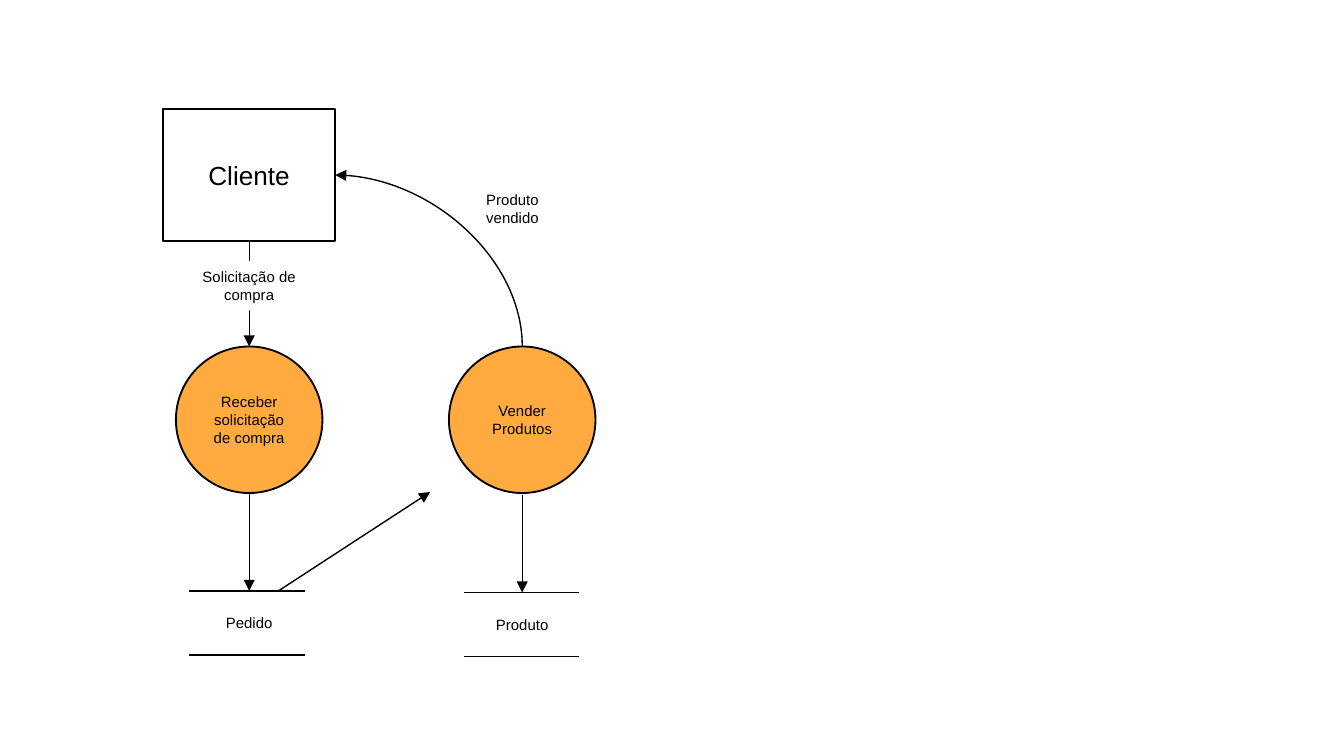
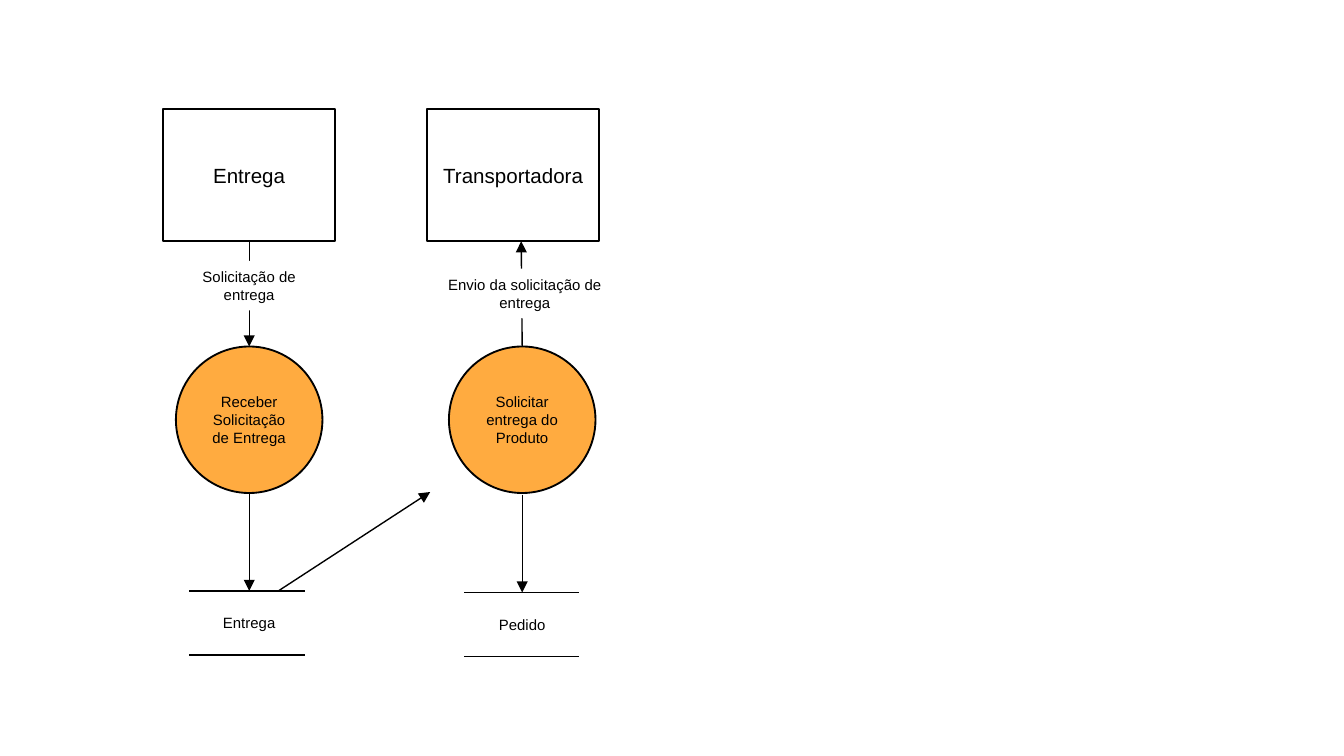
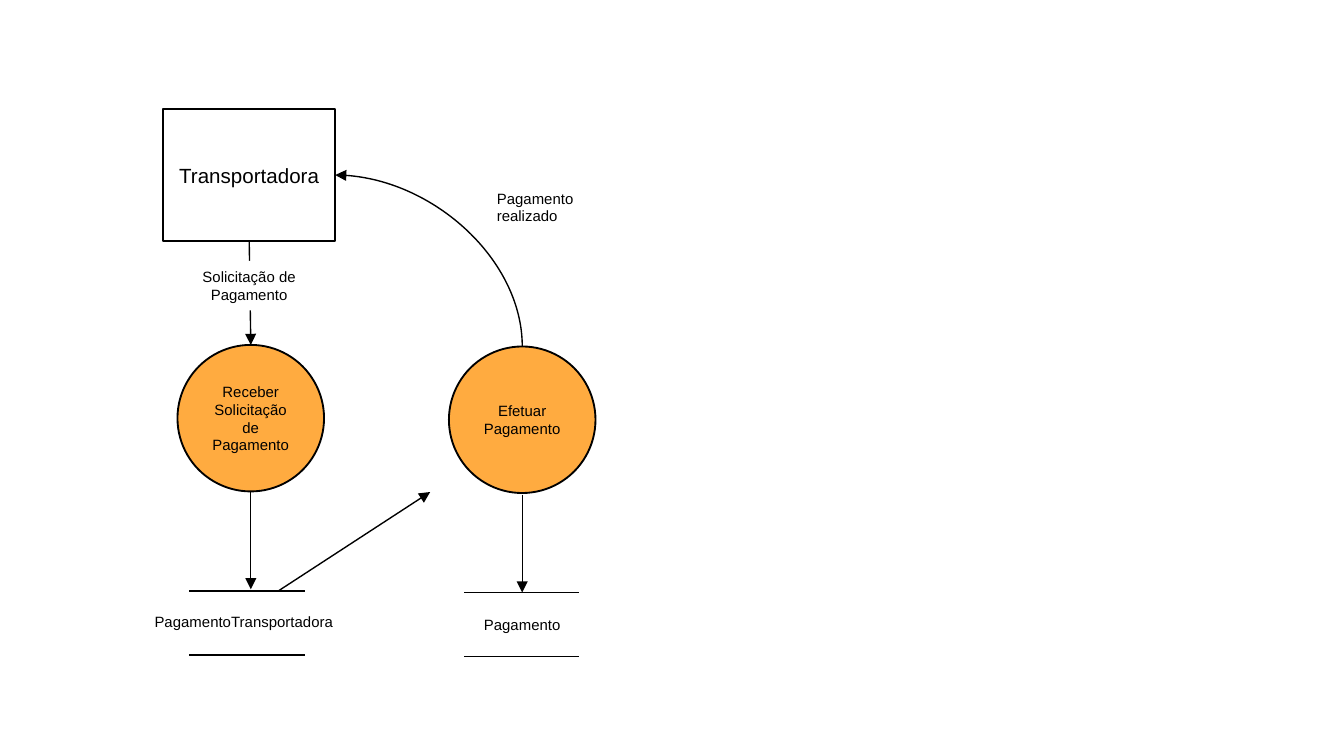
from lxml import etree
from pptx import Presentation
from pptx.dml.color import RGBColor
from pptx.enum.shapes import MSO_CONNECTOR, MSO_SHAPE
from pptx.enum.text import MSO_ANCHOR, MSO_AUTO_SIZE, PP_ALIGN
from pptx.oxml.ns import qn
from pptx.util import Cm, Pt

RECTANGLE = MSO_SHAPE.RECTANGLE
CIRCLE = MSO_SHAPE.FLOWCHART_CONNECTOR
STRAIGHT = MSO_CONNECTOR.STRAIGHT
CURVE = MSO_CONNECTOR.CURVE
CENTER = PP_ALIGN.CENTER
LEFT = PP_ALIGN.LEFT
TOP = MSO_ANCHOR.TOP
MIDDLE = MSO_ANCHOR.MIDDLE
GROW = MSO_AUTO_SIZE.SHAPE_TO_FIT_TEXT

COLORS = {"ink": "000000", "paper": "FFFFFF", "process": "FFAB40"}
FONT = "Arial"
BLANK_LAYOUT = 6

# Shared grid, in centimetres
LEFT_AXIS, RIGHT_AXIS = 4.71, 9.87
ENTITY_WIDTH, ENTITY_HEIGHT, ENTITY_TOP = 3.25, 2.5, 2.06
ENTITY_BOTTOM = ENTITY_TOP + ENTITY_HEIGHT
PROCESS_SIZE, PROCESS_TOP = 2.77, 6.55
PROCESS_BOTTOM = PROCESS_TOP + PROCESS_SIZE
STORE_WIDTH, STORE_HEIGHT, STORE_TOP = 2.18, 1.21, 11.17
ONE_LINE, TWO_LINES = 0.61, 0.94


class FlowDiagram:
    """Holds the style and the current slide; one method per element."""

    def __init__(self, presentation):
        self.presentation = presentation
        self.slide = None

    def new_slide(self):
        layout = self.presentation.slide_layouts[BLANK_LAYOUT]
        self.slide = self.presentation.slides.add_slide(layout)

    def add_words(self, shape, text, size, align=CENTER, anchor=MIDDLE):
        frame = shape.text_frame
        frame.word_wrap = True
        frame.vertical_anchor = anchor
        paragraph = frame.paragraphs[0]
        paragraph.alignment = align
        run = paragraph.add_run()
        run.text = text
        run.font.name = FONT
        run.font.size = Pt(size)
        run.font.color.rgb = RGBColor.from_string(COLORS["ink"])

    def block(self, kind, center, top, width, height, fill=None, outlined=True):
        shape = self.slide.shapes.add_shape(
            kind, Cm(center - width / 2), Cm(top), Cm(width), Cm(height))
        shape.shadow.inherit = False
        if fill:
            shape.fill.solid()
            shape.fill.fore_color.rgb = RGBColor.from_string(COLORS[fill])
        else:
            shape.fill.background()
        if outlined:
            shape.line.color.rgb = RGBColor.from_string(COLORS["ink"])
            shape.line.width = Pt(1)
        else:
            shape.line.fill.background()
        return shape

    def entity(self, text, center=LEFT_AXIS, size=11):
        shape = self.block(RECTANGLE, center, ENTITY_TOP,
                           ENTITY_WIDTH, ENTITY_HEIGHT)
        self.add_words(shape, text, size)

    def process(self, text, center, top=PROCESS_TOP):
        shape = self.block(CIRCLE, center, top,
                           PROCESS_SIZE, PROCESS_SIZE, "process")
        self.add_words(shape, text, 8)

    def flow_label(self, text, center, top, width):
        """Label on a white patch that interrupts the arrow beneath it."""
        shape = self.block(RECTANGLE, center, top, width, TWO_LINES,
                           "paper", outlined=False)
        self.add_words(shape, text, 8, anchor=TOP)
        shape.text_frame.auto_size = GROW

    def text(self, text, left, top, width, height, align=CENTER):
        box = self.slide.shapes.add_textbox(
            Cm(left), Cm(top), Cm(width), Cm(height))
        self.add_words(box, text, 8, align, TOP)
        box.text_frame.auto_size = GROW

    def line(self, start, end, arrow=False, kind=STRAIGHT):
        connector = self.slide.shapes.add_connector(
            kind, Cm(start[0]), Cm(start[1]), Cm(end[0]), Cm(end[1]))
        connector.line.color.rgb = RGBColor.from_string(COLORS["ink"])
        connector.line.width = Pt(0.75)
        properties = connector.element.spPr
        if arrow:
            etree.SubElement(properties.find(qn("a:ln")), qn("a:tailEnd"),
                             type="triangle")
        etree.SubElement(properties, qn("a:effectLst"))
        return connector

    def arrow(self, start, end):
        self.line(start, end, arrow=True)

    def curved_arrow(self, start, end):
        """Quarter curve leaving upwards: a flipped connector turned by 270°."""
        middle_x, middle_y = (start[0] + end[0]) / 2, (start[1] + end[1]) / 2
        half_width = (start[1] - end[1]) / 2
        half_height = (start[0] - end[0]) / 2
        connector = self.line((middle_x - half_width, middle_y + half_height),
                              (middle_x + half_width, middle_y - half_height),
                              arrow=True, kind=CURVE)
        properties = connector.element.spPr
        properties.find(qn("a:xfrm")).set("rot", str(270 * 60000))
        properties.find(qn("a:prstGeom")).set("prst", "curvedConnector2")

    def store(self, text, center, top, label_center, label_top, label_width):
        for y in (top, top + STORE_HEIGHT):
            self.line((center - STORE_WIDTH / 2, y),
                      (center + STORE_WIDTH / 2, y))
        self.text(text, label_center - label_width / 2, label_top,
                  label_width, ONE_LINE)

    def base(self, entity, request, receive, handle, stores,
             entity_size=11, shift=0, store_label=(LEFT_AXIS, 11.48, 3.48)):
        """The parts that every slide has."""
        axis = LEFT_AXIS + shift
        self.new_slide()
        self.entity(entity, size=entity_size)
        self.process(receive, axis, PROCESS_TOP - shift)
        self.process(handle, RIGHT_AXIS)
        # Left column, from the entity down to the store
        self.arrow((LEFT_AXIS, ENTITY_BOTTOM), (axis, PROCESS_TOP - shift))
        self.arrow((axis, PROCESS_BOTTOM - shift), (axis, STORE_TOP - shift))
        self.store(stores[0], 4.67, STORE_TOP, *store_label)
        # Right column
        self.arrow((RIGHT_AXIS, 9.35), (RIGHT_AXIS, 11.2))
        self.store(stores[1], 9.86, 11.2, RIGHT_AXIS, 11.51, 3.48)
        # From the left store to the second process
        self.arrow((5.26, STORE_TOP), (8.13, 9.3))
        self.flow_label(request, LEFT_AXIS, 4.93, 2.51)

    def reply(self, text, left, top):
        """Curved flow from the second process back to the entity."""
        self.curved_arrow((RIGHT_AXIS, PROCESS_TOP),
                          (LEFT_AXIS + ENTITY_WIDTH / 2,
                           ENTITY_TOP + ENTITY_HEIGHT / 2))
        self.text(text, left, top, 2.36, TWO_LINES, LEFT)


presentation = Presentation()
presentation.slide_width = Cm(25.4)
presentation.slide_height = Cm(14.29)
diagram = FlowDiagram(presentation)

# Slide 1: sale
diagram.base("Cliente", "Solicitação de compra",
             "Receber solicitação de compra", "Vender Produtos",
             ("Pedido", "Produto"), entity_size=14)
diagram.reply("Produto vendido", 8.94, 3.48)

# Slide 2: delivery
diagram.base("Entrega", "Solicitação de entrega",
             "Receber Solicitação de Entrega", "Solicitar entrega do Produto",
             ("Entrega", "Pedido"))
diagram.arrow((RIGHT_AXIS, PROCESS_TOP), (9.85, ENTITY_BOTTOM))
diagram.entity("Transportadora", center=9.7)
diagram.flow_label("Envio da solicitação de entrega", 9.92, 5.08, 3.58)

# Slide 3: payment
diagram.base("Transportadora", "Solicitação de Pagamento",
             "Receber Solicitação de Pagamento", "Efetuar Pagamento",
             ("PagamentoTransportadora", "Pagamento"),
             shift=0.03, store_label=(4.61, 11.46, 4.14))
diagram.reply("Pagamento realizado", 9.14, 3.45)

presentation.save("out.pptx")
